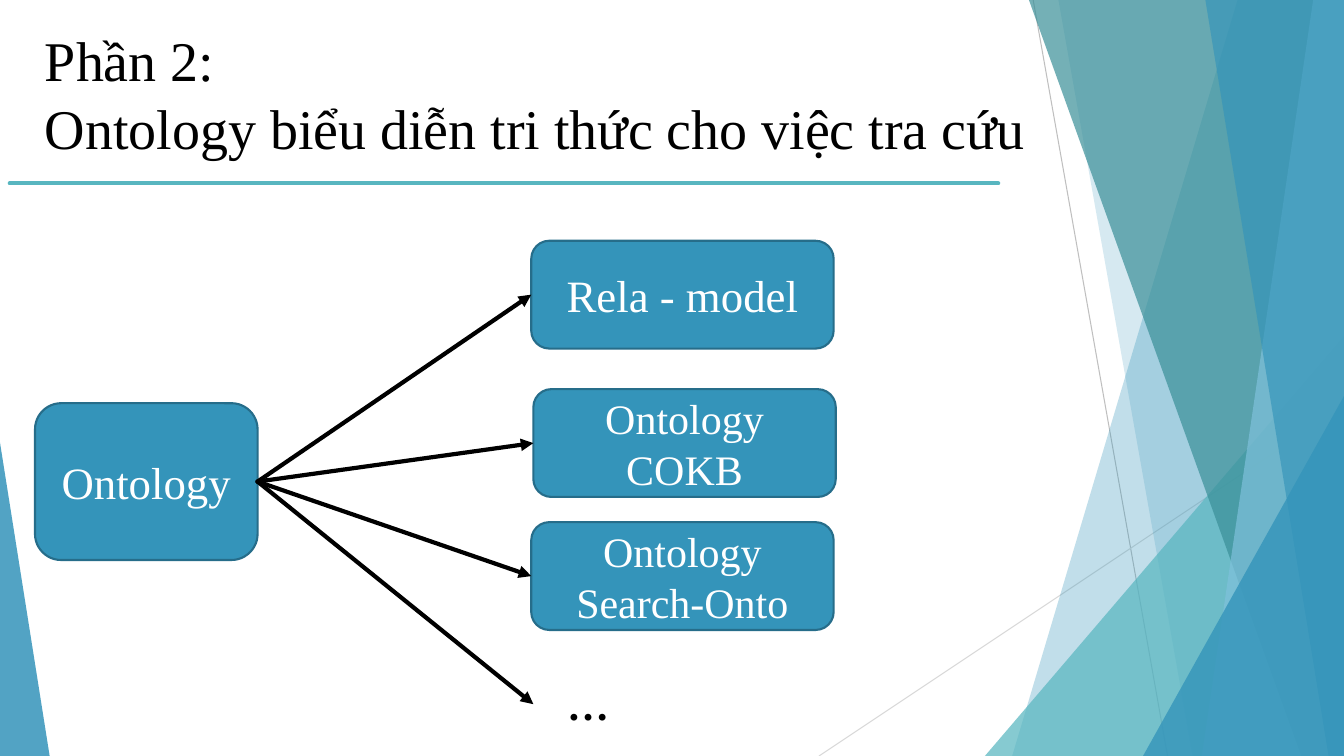
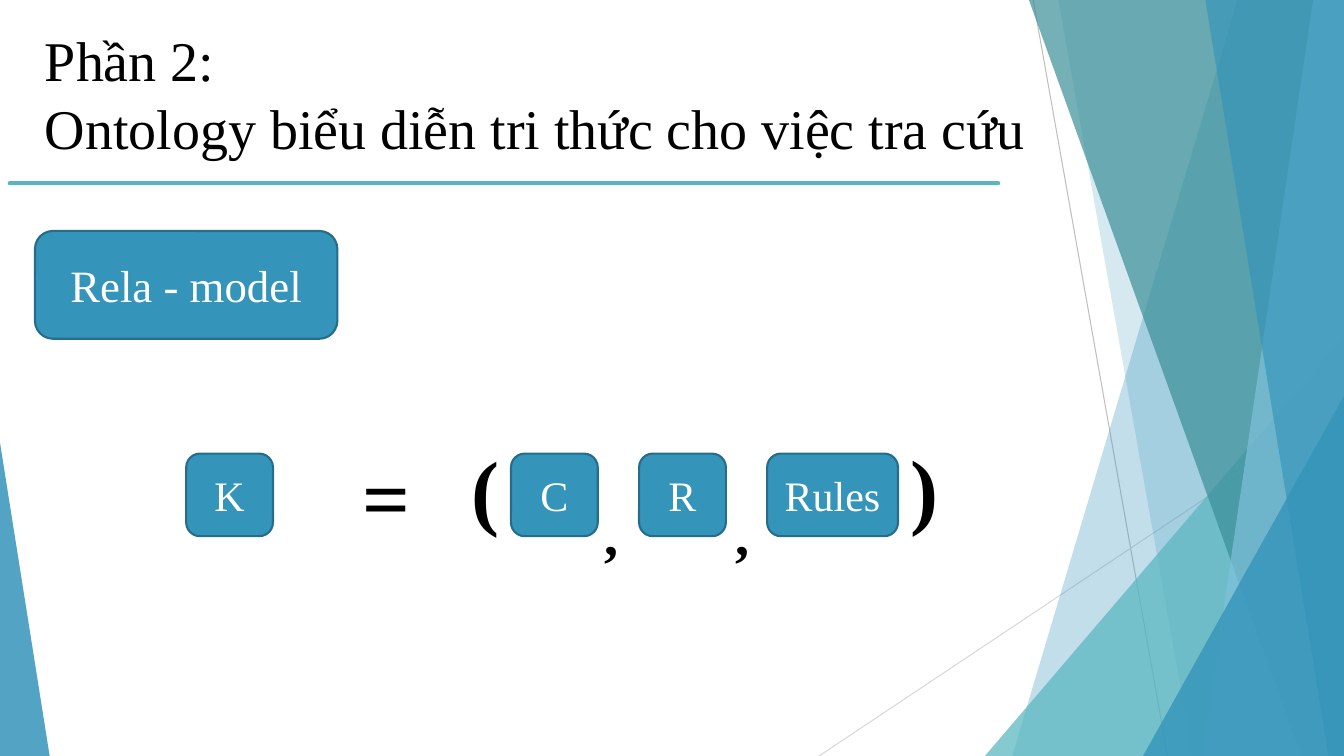
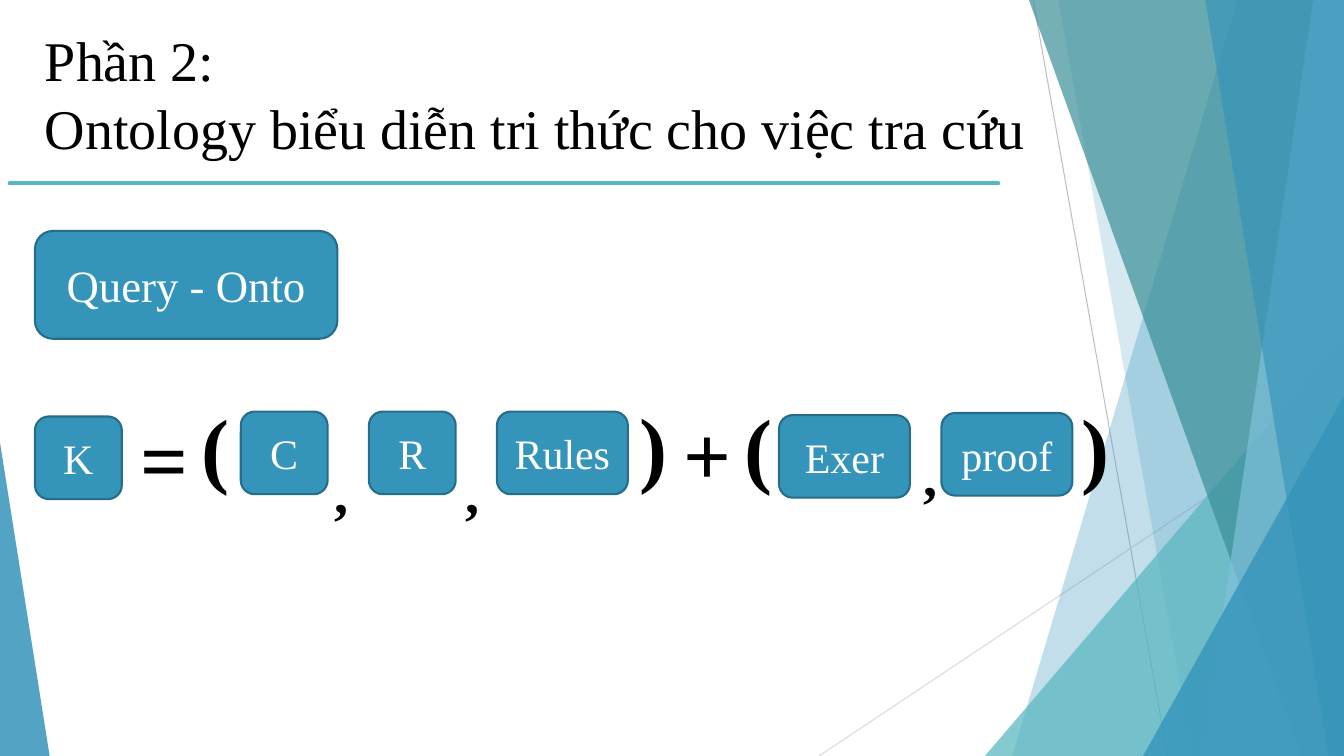
import lxml.etree
import pptx
import pptx.dml.color
import pptx.enum.shapes
import pptx.enum.text
import pptx.oxml.ns
import pptx.util

Pt = pptx.util.Pt
qn = pptx.oxml.ns.qn
SHAPES = pptx.enum.shapes.MSO_SHAPE
RGB = pptx.dml.color.RGBColor.from_string

COLOURS = {
    "blue": "3494BA",
    "blue edge": "266D8A",
    "light blue": "7FC1DB",
    "teal": "58B6C0",
    "dark teal": "3A8F98",
    "grey": "BFBFBF",
    "light grey": "D9D9D9",
    "black": "000000",
    "white": "FFFFFF",
}
FONT = "Times New Roman"
TITLE = "Phần 2:\nOntology biểu diễn tri thức cho việc tra cứu"
SLIDE_WIDTH, SLIDE_HEIGHT = 960, 540
LEFT_MARGIN = 25
CARD_WIDTH, CARD_HEIGHT = 216, 77


def add_line(shapes, start, end, colour, width, arrow=False):
    line = shapes.add_connector(
        pptx.enum.shapes.MSO_CONNECTOR.STRAIGHT, *map(Pt, start + end))
    line.line.color.rgb = RGB(COLOURS[colour])
    line.line.width = Pt(width)
    properties = line.element.spPr
    stroke = properties.find(qn("a:ln"))
    stroke.set("cap", "rnd")
    if arrow:
        lxml.etree.SubElement(stroke, qn("a:tailEnd"), type="triangle")
    lxml.etree.SubElement(properties, qn("a:effectLst"))


def add_text(slide, text, frame, size, boxed=False, bold=False):
    """Write text in a frame (left, top, width, height), on a rounded blue box if boxed."""
    position = [Pt(length) for length in frame]
    if boxed:
        box = slide.shapes.add_shape(SHAPES.ROUNDED_RECTANGLE, *position)
        box.shadow.inherit = False
        box.fill.solid()
        box.fill.fore_color.rgb = RGB(COLOURS["blue"])
        box.line.color.rgb = RGB(COLOURS["blue edge"])
        box.line.width = Pt(1.5)
        box.text_frame.vertical_anchor = pptx.enum.text.MSO_ANCHOR.MIDDLE
    else:
        box = slide.shapes.add_textbox(*position)
    box.text_frame.word_wrap = True
    box.text_frame.text = text
    for para in box.text_frame.paragraphs:
        para.alignment = (pptx.enum.text.PP_ALIGN.CENTER if boxed
                          else pptx.enum.text.PP_ALIGN.LEFT)
        para.font.name = FONT
        para.font.size = Pt(size)
        para.font.bold = bold
        para.font.color.rgb = RGB(COLOURS["white" if boxed else "black"])


deck = pptx.Presentation()
deck.slide_width, deck.slide_height = Pt(SLIDE_WIDTH), Pt(SLIDE_HEIGHT)
layout = deck.slide_layouts[6]
for placeholder in list(layout.placeholders):
    layout.shapes.element.remove(placeholder.element)

slides = [deck.slides.add_slide(layout) for _ in range(3)]
model_slide, rela_slide, query_slide = slides

# Background: drawn in a group, which then moves to the layout all slides use
background = model_slide.shapes.add_group_shape()
add_line(background.shapes, (738, 0), (834, SLIDE_HEIGHT), "grey", 0.75)
add_line(background.shapes, (SLIDE_WIDTH, 290), (585, SLIDE_HEIGHT), "light grey", 0.75)

# A sheet is (top x, bottom x) and reaches the right edge;
# a triangle is (left, top, width, apex) and stands on the bottom edge.
facets = [
    ((884, 723), "blue", 30),
    ((756, 852), "blue", 20),
    ((703.5, 240, 256.5, 1), "teal", 72),
    ((735, 929.5), "dark teal", 70),
    ((938, 858.5), "light blue", 70),
    ((861, 949), "blue", 65),
    ((816.5, 283, 143.5, 1), "blue", 80),
    ((0, 316, 35.5, 0), "blue", 85),
]
for geometry, colour, opacity in facets:
    if len(geometry) == 2:
        top_x, bottom_x = geometry
        outline = background.shapes.build_freeform(Pt(top_x), 0)
        outline.add_line_segments([
            (Pt(SLIDE_WIDTH), 0),
            (Pt(SLIDE_WIDTH), Pt(SLIDE_HEIGHT)),
            (Pt(bottom_x), Pt(SLIDE_HEIGHT)),
        ])
        facet = outline.convert_to_shape()
    else:
        left, top, width, apex = geometry
        facet = background.shapes.add_shape(
            SHAPES.ISOSCELES_TRIANGLE, Pt(left), Pt(top), Pt(width), Pt(SLIDE_HEIGHT - top))
        facet.adjustments[0] = apex
    facet.shadow.inherit = False
    facet.line.fill.background()
    facet.fill.solid()
    facet.fill.fore_color.rgb = RGB(COLOURS[colour])
    tint = facet.element.spPr.find(".//" + qn("a:srgbClr"))
    lxml.etree.SubElement(tint, qn("a:alpha"), val=str(opacity * 1000))

add_line(background.shapes, (7, 131), (713, 131), "teal", 3)
layout.shapes.element.append(background.element)

for slide in slides:
    add_text(slide, TITLE, (LEFT_MARGIN, 15, 912, 63), 40)

# Slide 1: kinds of ontology
hub_right, hub_middle = 184, 344
add_text(model_slide, "Ontology", (LEFT_MARGIN, 288, 159, 112), 32, boxed=True)
branches = [
    ("Rela - model", 32, 379.5, 172),
    ("Ontology COKB", 30, 381, 278),
    ("Ontology Search-Onto", 30, 379.5, 373),
]
arrow_ends = [(381, 503)]
for text, size, left, top in branches:
    add_text(model_slide, text, (left, top, CARD_WIDTH, CARD_HEIGHT), size, boxed=True)
    arrow_ends.append((left, top + CARD_HEIGHT / 2))
for end in arrow_ends:
    add_line(model_slide.shapes, (hub_right, hub_middle), end, "black", 3, arrow=True)
add_text(model_slide, "…", (398, 481.5, 45, 44), 30, bold=True)

# Slides 2 and 3: formulas, each term as (text, left, top)
triple = [
    ("(", -35, -16), ("C", 0, 0), (",", 60, 29.5), ("R", 91.5, 0),
    (",", 153.5, 29.5), ("Rules", 183, 0), (")", 278, -16.5),
]
formulas = [
    (rela_slide, "Rela - model", (365, 324), [("K", 133, 324), ("=", 251.5, 314)]),
    (query_slide, "Query - Onto", (172, 294), [
        ("K", LEFT_MARGIN, 297.5), ("=", 93, 287), ("+", 481, 283),
        ("(", 525, 278), ("Exer", 556.5, 296.5), (",", 652.5, 311),
        ("proof", 672.5, 295), (")", 765.5, 278),
    ]),
]
for slide, name, (triple_left, triple_top), terms in formulas:
    add_text(slide, name, (LEFT_MARGIN, 165, CARD_WIDTH, CARD_HEIGHT), 32, boxed=True)
    placed_triple = [(text, triple_left + x, triple_top + y) for text, x, y in triple]
    for text, left, top in terms + placed_triple:
        if text.isalpha():
            width = 62 if len(text) == 1 else 93.5
            add_text(slide, text, (left, top, width, 59), 30, boxed=True)
        else:
            size, height = (40, 55.5) if text == "," else (60, 80)
            add_text(slide, text, (left, top, 29.5, height), size, bold=True)

deck.save("out.pptx")
